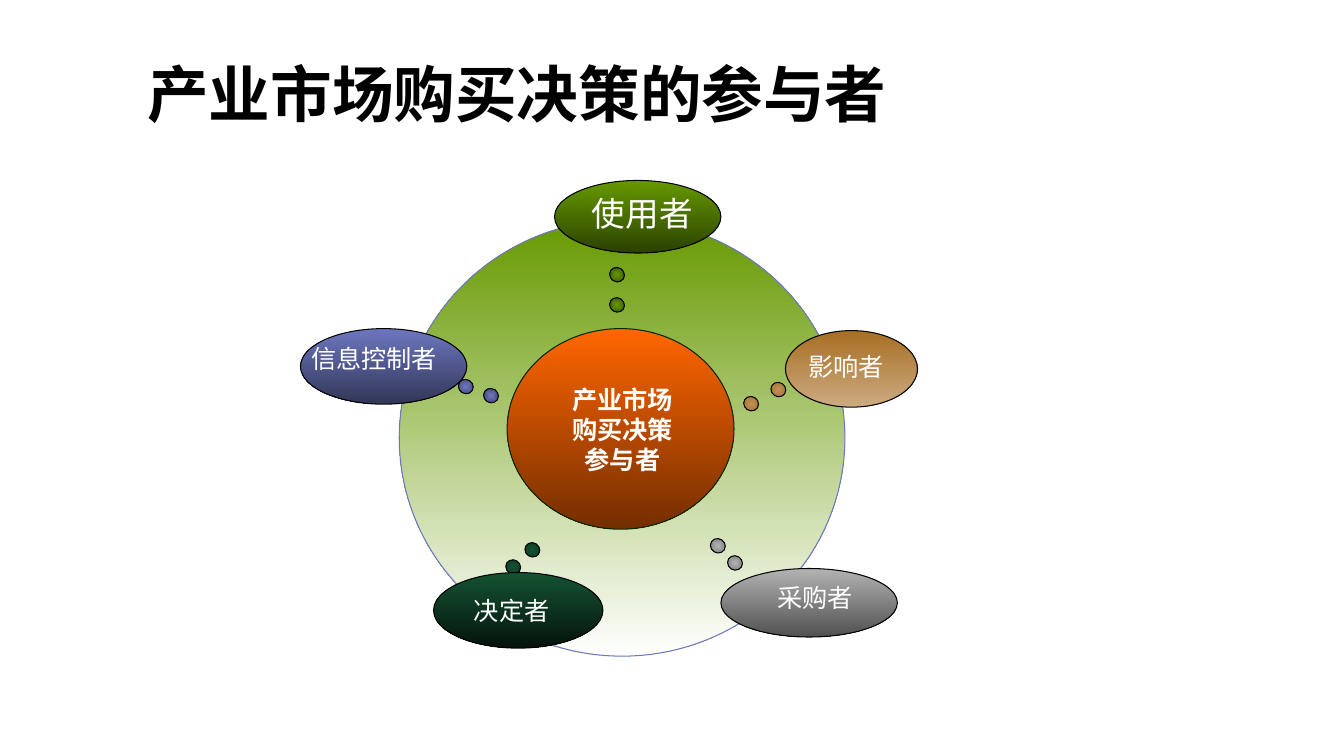
from dataclasses import dataclass

from lxml import etree
from pptx import Presentation
from pptx import util as u
from pptx.dml import color
from pptx.enum import shapes, text
from pptx.oxml import ns


@dataclass(frozen=True)
class Theme:
    black: str = "000000"
    white: str = "FFFFFF"
    green: str = "669900"
    orange: str = "FF6600"
    rust: str = "742E00"
    deep_green: str = "002A00"
    forest: str = "145232"
    brown: str = "A76E23"
    silver: str = "B2B2B2"
    violet: str = "6D77BF"
    cjk: str = "Noto Sans CJK SC"
    sans: str = "DejaVu Sans"
    latin: str = "Calibri"
    title_size: int = 44
    large_size: int = 24
    label_size: int = 18
    outline: float = 0.75


theme = Theme()
deck = Presentation()
deck.slide_width = u.Inches(13.33)
deck.slide_height = u.Inches(7.5)
page = deck.slides.add_slide(deck.slide_layouts[5])


def add_oval(left, top, width, height, start, end, outline, radial=False):
    oval = page.shapes.add_shape(
        shapes.MSO_SHAPE.OVAL,
        u.Inches(left), u.Inches(top), u.Inches(width), u.Inches(height))
    oval.shadow.inherit = False
    oval.line.color.rgb = color.RGBColor.from_string(outline)
    oval.line.width = u.Pt(theme.outline)
    oval.fill.gradient()
    oval.fill.gradient_angle = 270
    for stop, position, shade in zip(oval.fill.gradient_stops, (0, 1), (start, end)):
        stop.position = position
        stop.color.rgb = color.RGBColor.from_string(shade)
    if radial:
        linear = oval.element.spPr.find(".//" + ns.qn("a:lin"))
        gradient = linear.getparent()
        gradient.remove(linear)
        center = etree.SubElement(gradient, ns.qn("a:path"), {"path": "shape"})
        etree.SubElement(center, ns.qn("a:fillToRect"),
                         {side: "50000" for side in "ltrb"})
    return oval


def write(frame, lines, size, face, shade, align, bold=False):
    frame.word_wrap = True
    for number, line in enumerate(lines):
        para = frame.add_paragraph() if number else frame.paragraphs[0]
        para.alignment = align
        span = para.add_run()
        span.text = line
        span.font.size = u.Pt(size)
        span.font.bold = bold
        span.font.name = face
        span.font.color.rgb = color.RGBColor.from_string(shade)
        latin = span.font._element.find(ns.qn("a:latin"))
        latin.addnext(latin.makeelement(ns.qn("a:ea"), {"typeface": face}))


title = page.shapes.title
title.left, title.top = u.Inches(1.36), u.Inches(0.3)
title.width, title.height = u.Inches(11.31), u.Inches(1.25)
title.text_frame.vertical_anchor = text.MSO_ANCHOR.MIDDLE
write(title.text_frame, ["产业市场购买决策的参与者"], theme.title_size, theme.cjk,
      theme.black, text.PP_ALIGN.LEFT, bold=True)

add_oval(3.96, 2.18, 4.42, 4.33, theme.green, theme.white, theme.violet)
add_oval(5.03, 3.26, 2.25, 1.99, theme.orange, theme.rust, theme.deep_green)
center_box = page.shapes.add_textbox(
    u.Inches(5.39), u.Inches(3.76), u.Inches(1.57), u.Inches(1.01))
write(center_box.text_frame, ["产业市场", "购买决策", "参与者"], theme.label_size,
      theme.latin, theme.white, text.PP_ALIGN.CENTER, bold=True)

participants = [
    ("使用者", (5.5, 1.79, 1.65, 0.72), theme.green, "2B4100",
     (5.62, 1.86, 1.5, 0.5), theme.large_size, theme.sans,
     theme.green, [(6.05, 2.65, "2E4600"), (6.05, 2.95, "324A00")]),
    ("影响者", (7.79, 3.28, 1.31, 0.76), theme.brown, "CCAB80",
     (7.82, 3.44, 1.14, 0.43), theme.label_size, theme.sans,
     "BC9158", [(7.65, 3.79, theme.brown), (7.38, 3.93, theme.brown)]),
    ("采购者", (7.15, 5.64, 1.75, 0.68), theme.silver, "515151",
     (7.54, 5.73, 1.09, 0.43), theme.label_size, theme.cjk,
     theme.silver, [(7.22, 5.51, "777777"), (7.05, 5.34, "777777")]),
    ("决定者", (4.3, 5.68, 1.68, 0.75), theme.forest, "05140C",
     (4.53, 5.86, 1.09, 0.43), theme.label_size, theme.cjk,
     theme.forest, [(5.02, 5.55, "0D3721"), (5.21, 5.38, "0D3721")]),
    ("信息控制者", (2.98, 3.26, 1.65, 0.75), theme.violet, "323657",
     (2.79, 3.36, 1.84, 0.43), theme.label_size, theme.sans,
     theme.violet, [(4.55, 3.76, "3F456E"), (4.8, 3.85, "353A5D")]),
]
dots_behind = {"决定者"}

for role, oval_area, start, end, label_area, size, face, dot_start, dots in participants:
    if role not in dots_behind:
        add_oval(*oval_area, start, end, theme.black)
    for left, top, dot_end in dots:
        dot = add_oval(left, top, 0.14, 0.15, dot_start, dot_end, theme.black, radial=True)
        dot.rotation = 303
    if role in dots_behind:
        add_oval(*oval_area, start, end, theme.black)
    label = page.shapes.add_textbox(*[u.Inches(length) for length in label_area])
    write(label.text_frame, [role], size, face, theme.white, text.PP_ALIGN.CENTER)

deck.save("out.pptx")
